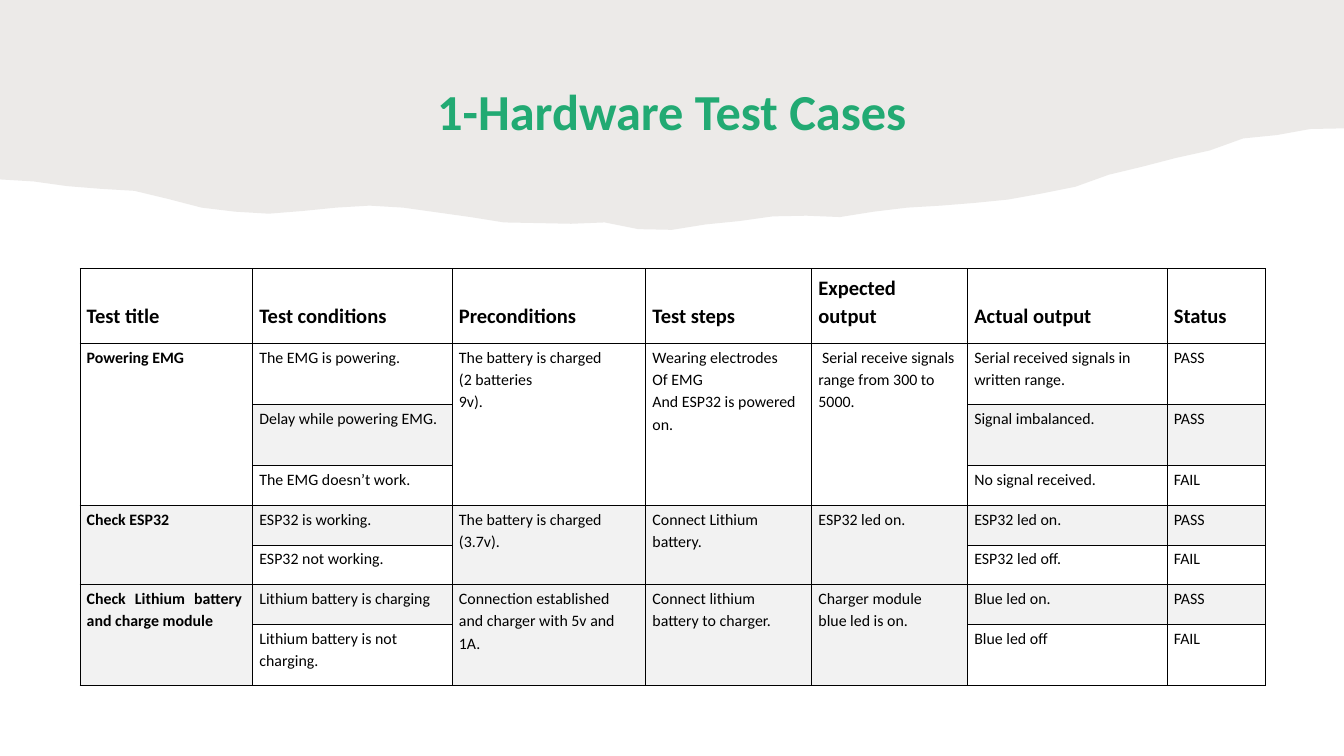
from lxml import etree
from pptx import Presentation
from pptx.dml.color import RGBColor
from pptx.enum.text import MSO_ANCHOR, PP_ALIGN
from pptx.oxml.ns import qn
from pptx.util import Inches, Pt

LEFT, CENTER, JUSTIFY = PP_ALIGN.LEFT, PP_ALIGN.CENTER, PP_ALIGN.JUSTIFY
TOP, BOTTOM = MSO_ANCHOR.TOP, MSO_ANCHOR.BOTTOM

THEME = {
    "font": "Calibri",
    "title_size": 54, "header_size": 22, "body_size": 17,
    "green": "22AA73", "black": "000000", "band": "F2F2F2",
    "paper": "82766A", "paper_alpha": 15,
}


def write_text(frame, text, size, color="black", bold=False, align=LEFT,
               spacing=1.15):
    """Fill a text frame, one paragraph for each line of text."""
    for index, line in enumerate(text.split("\n")):
        para = frame.paragraphs[0] if index == 0 else frame.add_paragraph()
        para.alignment = align
        para.line_spacing = spacing
        span = para.add_run()
        span.text = line
        span.font.name = THEME["font"]
        span.font.size = Pt(THEME[size])
        span.font.bold = bold
        span.font.color.rgb = RGBColor.from_string(THEME[color])


def add_borders(cell):
    """Draw a thin black line on all four sides of a cell."""
    properties = cell._tc.get_or_add_tcPr()
    for side in ("a:lnL", "a:lnR", "a:lnT", "a:lnB"):
        line = etree.SubElement(properties, qn(side), w=str(Pt(1)))
        fill = etree.SubElement(line, qn("a:solidFill"))
        etree.SubElement(fill, qn("a:srgbClr"), val=THEME["black"])


deck = Presentation()
deck.slide_width, deck.slide_height = Inches(20), Inches(11.25)
page = deck.slides.add_slide(deck.slide_layouts[6])

# Torn paper band: depth of the edge at every half inch, left to right
EDGE_STEP = 0.5
EDGE_DEPTHS = [
    2.67, 2.7, 2.77, 2.81, 2.84, 2.96, 3.09, 3.15, 3.18, 3.14,
    3.09, 3.06, 3.09, 3.16, 3.23, 3.31, 3.32, 3.33, 3.31, 3.41,
    3.42, 3.34, 3.29, 3.22, 3.21, 3.23, 3.15, 3.09, 3.06, 3.02,
    2.97, 2.88, 2.78, 2.6, 2.48, 2.35, 2.24, 2.06, 2.01, 1.92, 1.91,
]
edge = [(Inches(i * EDGE_STEP), Inches(depth))
        for i, depth in enumerate(EDGE_DEPTHS)]
builder = page.shapes.build_freeform(0, 0)
builder.add_line_segments(edge + [(Inches(20), 0)], close=True)
paper = builder.convert_to_shape()
paper.shadow.inherit = False
paper.line.fill.background()
paper.fill.solid()
paper.fill.fore_color.rgb = RGBColor.from_string(THEME["paper"])
paper_color = paper._element.spPr.find(".//" + qn("a:srgbClr"))
etree.SubElement(paper_color, qn("a:alpha"),
                 val=str(THEME["paper_alpha"] * 1000))

# Title
title = page.shapes.add_textbox(Inches(1.36), Inches(0.81),
                                Inches(17.28), Inches(1.34))
title.text_frame.word_wrap = True
title.text_frame.vertical_anchor = BOTTOM
write_text(title.text_frame, "1-Hardware Test Cases", "title_size",
           color="green", bold=True, align=CENTER, spacing=0.9)

# Table content: None continues the cell above
ROWS = [
    ["Test title", "Test conditions", "Preconditions", "Test steps",
     "Expected output", "Actual output", "Status"],
    ["Powering EMG", "The EMG is powering.",
     "The battery is charged\n(2 batteries\n9v).",
     "Wearing electrodes\nOf EMG\nAnd ESP32 is powered on.",
     " Serial receive signals range from 300 to 5000.",
     "Serial received signals in written range.", "PASS"],
    [None, "Delay while powering EMG.", None, None, None,
     "Signal imbalanced.", "PASS"],
    [None, "The EMG doesn’t work.", None, None, None,
     "No signal received.", "FAIL"],
    ["Check ESP32", "ESP32 is working.", "The battery is charged (3.7v).",
     "Connect Lithium battery.", "ESP32 led on.", "ESP32 led on.", "PASS"],
    [None, "ESP32 not working.", None, None, None, "ESP32 led off.", "FAIL"],
    ["Check Lithium battery and charge module", "Lithium battery is charging",
     "Connection established and charger with 5v and 1A.",
     "Connect lithium battery to charger.",
     "Charger module\nblue led is on.", "Blue led on.", "PASS"],
    [None, "Lithium battery is not charging.", None, None, None,
     "Blue led off", "FAIL"],
]
COLUMN_WIDTHS = [2.57, 2.97, 2.88, 2.47, 2.32, 2.97, 1.46]
ROW_HEIGHTS = [1.11, 0.91, 0.91, 0.59, 0.59, 0.59, 0.59, 0.91]
MERGED_COLUMNS = (0, 2, 3, 4)
TEST_GROUPS = ((1, 3), (4, 5), (6, 7))

# Table grid
table = page.shapes.add_table(len(ROWS), len(COLUMN_WIDTHS), Inches(1.19),
                              Inches(4), Inches(17.63), Inches(6.2)).table
table.first_row = table.horz_banding = False
for column, width in zip(table.columns, COLUMN_WIDTHS):
    column.width = Inches(width)
for row, height in zip(table.rows, ROW_HEIGHTS):
    row.height = Inches(height)
for first, last in TEST_GROUPS:
    for c in MERGED_COLUMNS:
        table.cell(first, c).merge(table.cell(last, c))

# Table cells: every second row is shaded
for r, texts in enumerate(ROWS):
    header = r == 0
    for c, text in enumerate(texts):
        cell = table.cell(r, c)
        add_borders(cell)
        if r > 0 and r % 2 == 0:
            cell.fill.solid()
            cell.fill.fore_color.rgb = RGBColor.from_string(THEME["band"])
        else:
            cell.fill.background()
        cell.margin_left, cell.margin_right = Inches(0.1), Inches(0.16)
        cell.margin_top, cell.margin_bottom = Inches(0.03), Inches(0.21)
        cell.vertical_anchor = BOTTOM if header else TOP
        if text is not None:
            write_text(cell.text_frame, text,
                       "header_size" if header else "body_size",
                       bold=header or c == 0,
                       align=JUSTIFY if c == 0 else LEFT)

deck.save("out.pptx")
